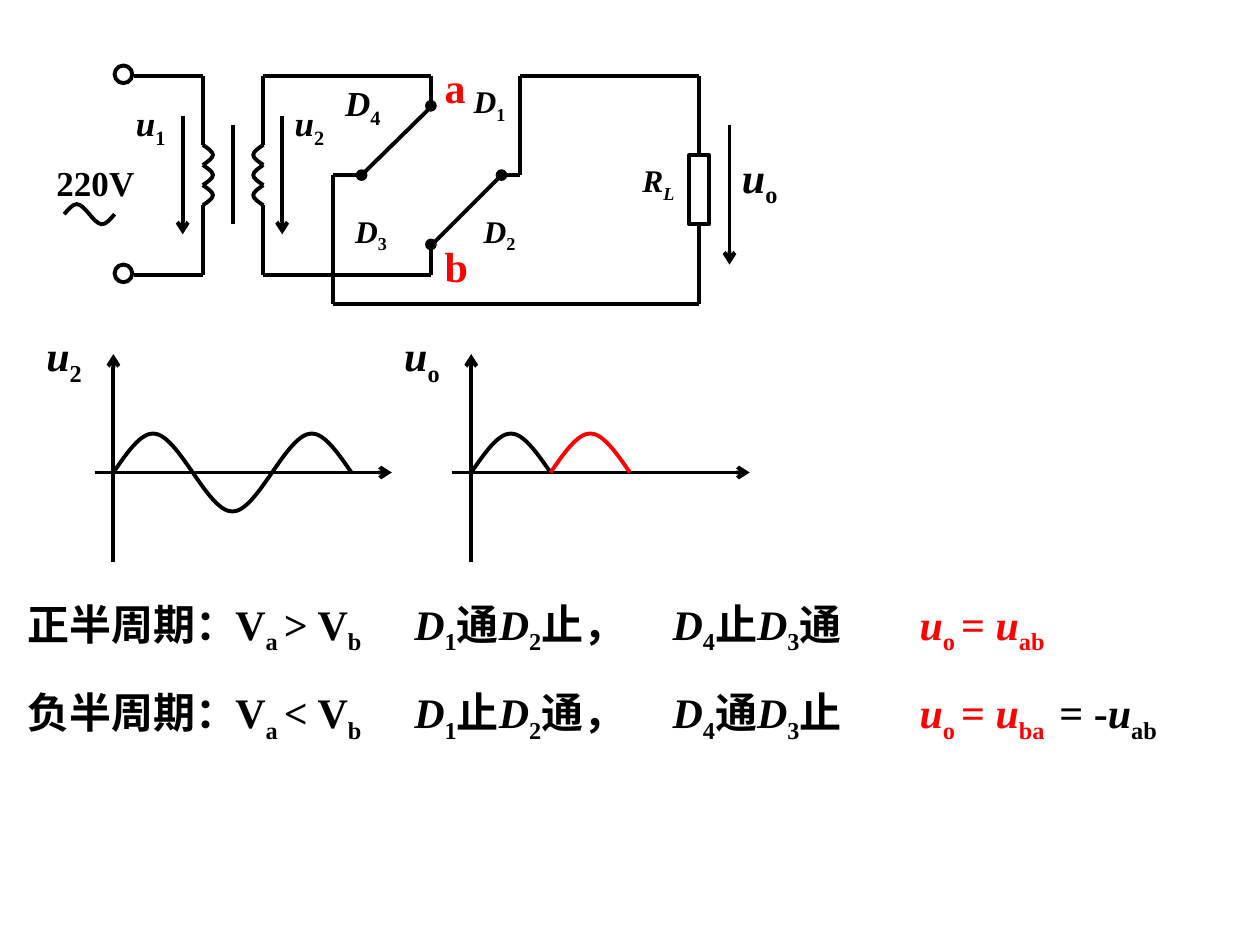
from math import hypot

from pptx import Presentation
from pptx.dml.color import RGBColor
from pptx.enum.shapes import MSO_CONNECTOR, MSO_SHAPE
from pptx.enum.text import MSO_AUTO_SIZE
from pptx.oxml.ns import qn
from pptx.util import Inches, Pt
from lxml.etree import SubElement

COLORS = {"ink": "000000", "paper": "FFFFFF", "accent": "FF0000"}
HALF_WAVE = ((0, 0), (0.17, 0.5), (0.34, 1), (0.5, 1), (0.66, 1), (0.83, 0.5), (1, 0))


class CircuitSlide:
    """Draw wires, curves, symbols and labels on one slide in a shared style."""

    font = "Times New Roman"
    stroke = Pt(2.25)

    def __init__(self, page):
        self.shapes = page.shapes

    def color(self, name):
        return RGBColor.from_string(COLORS[name])

    def outline(self, item, color="ink"):
        item.line.color.rgb = self.color(color)
        item.line.width = self.stroke

    def wire(self, start, end, head=None, tail=None):
        ends = [Inches(value) for value in (*start, *end)]
        wire = self.shapes.add_connector(MSO_CONNECTOR.STRAIGHT, *ends)
        self.outline(wire)
        line = wire.line._get_or_add_ln()
        for tag, kind in (("a:headEnd", head), ("a:tailEnd", tail)):
            if kind:
                SubElement(line, qn(tag), type=kind)
        SubElement(wire._element.spPr, qn("a:effectLst"))

    def path_of_wires(self, *corners):
        for start, end in zip(corners, corners[1:]):
            self.wire(start, end)

    def bump(self, start, end, height, color="ink"):
        across, down = end[0] - start[0], end[1] - start[1]
        scale = height / hypot(across, down)
        points = [(Inches(start[0] + across * share + down * rise * scale),
                   Inches(start[1] + down * share - across * rise * scale))
                  for share, rise in HALF_WAVE]
        builder = self.shapes.build_freeform(*points[0])
        builder.add_line_segments(points[1:], close=False)
        curve = builder.convert_to_shape()
        self.bend(curve)
        curve.shadow.inherit = False
        curve.fill.background()
        self.outline(curve, color)

    def bend(self, curve):
        track = next(curve._element.iter(qn("a:path")))
        segments = track.findall(qn("a:lnTo"))
        for first in range(0, len(segments), 3):
            cubic = SubElement(track, qn("a:cubicBezTo"))
            for segment in segments[first:first + 3]:
                cubic.append(segment[0])
                track.remove(segment)

    def symbol(self, kind, left, top, width, height):
        symbol = self.shapes.add_shape(kind, *map(Inches, (left, top, width, height)))
        symbol.shadow.inherit = False
        symbol.fill.solid()
        symbol.fill.fore_color.rgb = self.color("paper")
        self.outline(symbol)

    def label(self, left, top, width, runs, size=24, color="ink", height=0.56):
        box = self.shapes.add_textbox(*map(Inches, (left, top, width, height)))
        box.text_frame.word_wrap = True
        box.text_frame.auto_size = MSO_AUTO_SIZE.SHAPE_TO_FIT_TEXT
        para = box.text_frame.paragraphs[0]
        for text, style in runs:
            span = para.add_run()
            span.text = text
            span.font.name = self.font
            span.font.size = Pt(size)
            span.font.bold = True
            span.font.italic = "i" in style
            span.font.color.rgb = self.color(color)
            if "s" in style:
                span._r.get_or_add_rPr().set("baseline", "-25000")

    def axes(self, left, name):
        self.wire((left - 0.15, 3.75), (left + 2.21, 3.75), tail="arrow")
        self.wire((left, 2.81), (left, 4.46), head="arrow")
        self.label(left - 0.63, 2.57, 1.5, symbol_runs("u", name))


def symbol_runs(letter, index):
    return [(letter, "i"), (index, "s")]


def draw_transformer(slide):
    for y in (0.6, 2.18):
        slide.wire((1.61, y), (1.06, y))
        slide.symbol(MSO_SHAPE.OVAL, 0.91, y - 0.08, 0.14, 0.14)
        slide.wire((2.09, y), (3.42, y))
    for x, bulge in ((1.61, 0.08), (2.09, -0.08)):
        slide.wire((x, 0.6), (x, 1.15))
        slide.wire((x, 1.63), (x, 2.18))
        for turn in range(3):
            top = 1.15 + 0.16 * turn
            slide.bump((x, top), (x, top + 0.16), bulge)
    slide.wire((1.85, 0.99), (1.85, 1.78))
    for x in (1.45, 2.24):
        slide.wire((x, 0.92), (x, 1.86), tail="arrow")
    for x, index in ((0.98, "1"), (2.24, "2")):
        slide.label(x, 0.76, 0.71, symbol_runs("u", index), 20, height=0.48)
    slide.label(0.35, 1.23, 1.26, [("220V", "")], 20, height=0.44)
    for x, height in ((0.51, 0.08), (0.71, -0.08)):
        slide.bump((x, 1.7), (x + 0.2, 1.7), height)


def draw_bridge(slide):
    slide.wire((3.42, 0.6), (3.42, 0.84), tail="oval")
    slide.wire((3.42, 1.94), (3.42, 2.18), head="oval")
    slide.wire((3.98, 1.39), (4.13, 1.39), head="oval")
    slide.wire((2.87, 1.39), (2.64, 1.39), head="oval")
    slide.wire((2.87, 1.39), (3.43, 0.84))
    slide.wire((3.43, 1.94), (3.98, 1.39))
    slide.path_of_wires((2.64, 1.39), (2.64, 2.41), (5.55, 2.41),
                        (5.55, 0.6), (4.13, 0.6), (4.13, 1.39))
    diodes = ((3.66, 0.6, "1", 18, 0.44), (3.74, 1.63, "2", 18, 0.44),
              (2.72, 1.63, "3", 18, 0.44), (2.64, 0.6, "4", 20, 0.48))
    for x, y, index, size, height in diodes:
        slide.label(x, y, 0.71, symbol_runs("D", index), size, height=height)
    for y, node in ((0.44, "a"), (1.86, "b")):
        slide.label(3.43, y, 0.71, [(node, "")], color="accent", height=0.5)


def draw_load(slide):
    slide.symbol(MSO_SHAPE.RECTANGLE, 5.47, 1.23, 0.16, 0.55)
    slide.label(5, 1.23, 0.79, [("R", "i"), ("L", "is")], 18, height=0.44)
    slide.wire((5.79, 0.99), (5.79, 2.1), tail="arrow")
    slide.label(5.79, 1.15, 0.71, symbol_runs("u", "o"))


def draw_waveforms(slide):
    half = 0.63
    waves = ((0.9, "2", ((1, "ink"), (-1, "ink"), (1, "ink"))),
             (3.74, "o", ((1, "ink"), (1, "accent"))))
    for left, name, halves in waves:
        slide.axes(left, name)
        for number, (sign, color) in enumerate(halves):
            x = left + half * number
            slide.bump((x, 3.75), (x + half, 3.75), 0.31 * sign, color)


def draw_half_cycles(slide):
    cycles = ((4.7, "正半周期：", ">", "通", "止", "ab"),
              (5.4, "负半周期：", "<", "止", "通", "ba"))
    for y, name, sign, first, second, voltage in cycles:
        slide.label(0.12, y, 2.05, [(name, "")], height=0.5)
        slide.label(1.77, y, 1.97, [("V", ""), ("a ", "s"), (f"{sign} V", ""), ("b", "s")])
        pairs = ((3.19, "1", first, "2", second + "，"), (5.24, "4", second, "3", first))
        for x, left, left_state, right, right_state in pairs:
            slide.label(x, y, 3.07, [*symbol_runs("D", left), (left_state, ""),
                                     *symbol_runs("D", right), (right_state, "")])
        slide.label(7.2, y, 1.34, [*symbol_runs("u", "o "), ("= ", ""),
                                   *symbol_runs("u", voltage)], color="accent")
    slide.label(8.31, 5.4, 1.5, [("= -", ""), *symbol_runs("u", "ab")])


def main():
    deck = Presentation()
    deck.slide_width, deck.slide_height = Inches(10), Inches(7.5)
    page = deck.slides.add_slide(deck.slide_layouts[6])
    slide = CircuitSlide(page)
    for draw in (draw_transformer, draw_bridge, draw_load, draw_waveforms, draw_half_cycles):
        draw(slide)
    deck.save("out.pptx")


if __name__ == "__main__":
    main()
